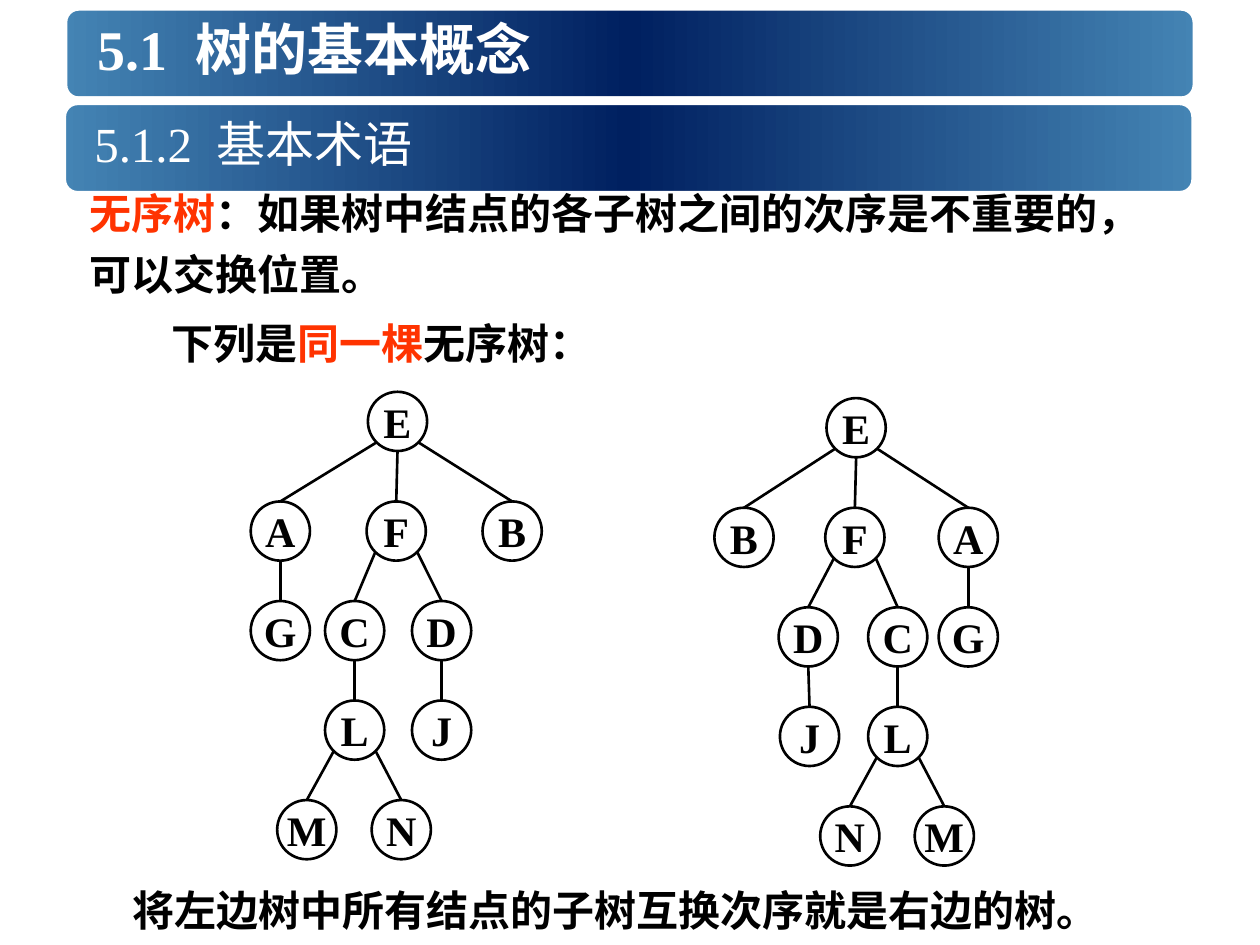
from copy import deepcopy
from dataclasses import dataclass

from pptx import Presentation
from pptx.dml.color import RGBColor
from pptx.enum.shapes import MSO_CONNECTOR, MSO_SHAPE
from pptx.enum.text import MSO_ANCHOR, MSO_AUTO_SIZE, PP_ALIGN
from pptx.oxml.ns import qn
from pptx.util import Inches, Pt
from lxml import etree

LINE = MSO_CONNECTOR.STRAIGHT
OVAL = MSO_SHAPE.OVAL
ROUND = MSO_SHAPE.ROUNDED_RECTANGLE
MIDDLE = MSO_ANCHOR.MIDDLE
FIXED = MSO_AUTO_SIZE.NONE
LEFT = PP_ALIGN.LEFT
CENTER = PP_ALIGN.CENTER

WHITE = RGBColor(0xFF, 0xFF, 0xFF)
BLACK = RGBColor(0x00, 0x00, 0x00)
RED = RGBColor(0xFF, 0x33, 0x00)
BLUE = RGBColor(0x44, 0x84, 0xB4)
NAVY = RGBColor(0x00, 0x20, 0x60)

SERIF = "Times New Roman"
SANS = "Noto Sans CJK SC"
SIZE = 0.47
DROP = 0.87
STEP = 0.79
DIAG = SIZE / 2 * 0.707


@dataclass
class Run:
    text: str
    color: RGBColor = BLACK
    size: int = 24
    font: str = SANS
    bold: bool = True
    space: int = 0


@dataclass
class Node:
    name: str
    left: float
    level: int
    parent: str = ""


@dataclass
class Tree:
    top: float
    nodes: list[Node]


@dataclass
class Note:
    left: float
    top: float
    width: float
    height: float
    lines: list[list[Run]]
    wrap: bool = False
    pitch: float = 1.0


TREES = [
    Tree(3.11, [
        Node("E", 2.92, 0),
        Node("A", 1.99, 1, "E"), Node("F", 2.91, 1, "E"), Node("B", 3.83, 1, "E"),
        Node("G", 1.99, 2, "A"), Node("C", 2.58, 2, "F"), Node("D", 3.27, 2, "F"),
        Node("L", 2.58, 3, "C"), Node("J", 3.27, 3, "D"),
        Node("M", 2.2, 4, "L"), Node("N", 2.95, 4, "L"),
    ]),
    Tree(3.16, [
        Node("E", 6.56, 0),
        Node("B", 5.67, 1, "E"), Node("F", 6.55, 1, "E"), Node("A", 7.45, 1, "E"),
        Node("D", 6.18, 2, "F"), Node("C", 6.89, 2, "F"), Node("G", 7.45, 2, "A"),
        Node("J", 6.19, 3, "D"), Node("L", 6.89, 3, "C"),
        Node("N", 6.51, 4, "L"), Node("M", 7.26, 4, "L"),
    ]),
]

NOTES = [
    Note(0.61, 1.36, 8.53, 1.06, [
        [Run("无序树", RED), Run("：如果树中结点的各子树之间的次序是不重要的，")],
        [Run("可以交换位置。")],
    ], pitch=1.2),
    Note(1.26, 2.47, 3.92, 0.5,
         [[Run("下列是"), Run("同一棵", RED), Run("无序树：")]], wrap=True),
    Note(0.95, 6.97, 7.86, 0.5,
         [[Run("将左边树中所有结点的子树互换次序就是右边的树。")]]),
]


def write(para, runs: list[Run]) -> None:
    for item in runs:
        run = para.add_run()
        run.text = item.text
        font = run.font
        font.name, font.size, font.bold = item.font, Pt(item.size), item.bold
        font.color.rgb = item.color
        props = run._r.get_or_add_rPr()
        etree.SubElement(props, qn("a:ea")).set("typeface", SANS)
        if item.space:
            props.set("spc", str(item.space))


def add_bar(slide, left: float, top: float) -> None:
    bar = slide.shapes.add_shape(ROUND, Inches(left), Inches(top), Inches(9), Inches(0.75))
    bar.shadow.inherit = False
    bar.adjustments[0] = 0.167
    bar.fill.gradient()
    stops = bar._element.spPr.find(".//" + qn("a:gsLst"))
    stops.append(deepcopy(stops[0]))
    for stop, place, color in zip(bar.fill.gradient_stops, (0, 0.5, 1), (BLUE, NAVY, BLUE)):
        stop.position = place
        stop.color.rgb = color
    bar.fill.gradient_angle = 0
    bar.line.color.rgb = WHITE
    bar.line.width = Pt(5)


def set_head(shape, number: str, words: str, size: int, bold: bool) -> None:
    frame = shape.text_frame
    frame.auto_size, frame.word_wrap = FIXED, True
    frame.vertical_anchor = MIDDLE
    para = frame.paragraphs[0]
    para.alignment = LEFT
    write(para, [Run(number, WHITE, size, SERIF, bold),
                 Run(" ", WHITE, size, SERIF, bold, size * 25),
                 Run(words, WHITE, size, SERIF, bold)])


def add_note(slide, note: Note) -> None:
    box = slide.shapes.add_textbox(
        Inches(note.left), Inches(note.top), Inches(note.width), Inches(note.height))
    frame = box.text_frame
    frame.word_wrap = note.wrap
    for index, runs in enumerate(note.lines):
        para = frame.add_paragraph() if index else frame.paragraphs[0]
        para.line_spacing = note.pitch
        write(para, runs)


def add_node(slide, node: Node, top: float):
    oval = slide.shapes.add_shape(OVAL, Inches(node.left), Inches(top), Inches(SIZE), Inches(SIZE))
    oval.shadow.inherit = False
    oval.fill.background()
    oval.line.color.rgb = BLACK
    oval.line.width = Pt(1.5)
    frame = oval.text_frame
    frame.word_wrap = False
    frame.vertical_anchor = MIDDLE
    para = frame.paragraphs[0]
    para.alignment = CENTER
    write(para, [Run(node.name, font=SERIF)])
    return oval


def add_edge(slide, start, end) -> None:
    shift = end.left - start.left
    side = 0 if abs(shift) < Inches(0.05) else (1 if shift > 0 else -1)
    drop = Inches(SIZE / 2 + DIAG) if side else start.height
    edge = slide.shapes.add_connector(
        LINE, start.left + start.width // 2 + side * Inches(DIAG), start.top + drop,
        end.left + end.width // 2, end.top)
    edge.end_connect(end, 0)
    edge.line.color.rgb = BLACK
    edge.line.width = Pt(1.5)
    etree.SubElement(edge._element.spPr, qn("a:effectLst"))


def add_tree(slide, tree: Tree) -> None:
    ovals = {}
    for node in tree.nodes:
        fall = DROP + STEP * (node.level - 1) if node.level else 0
        ovals[node.name] = add_node(slide, node, tree.top + fall)
        if node.parent:
            add_edge(slide, ovals[node.parent], ovals[node.name])


def main() -> None:
    deck = Presentation()
    deck.slide_width, deck.slide_height = Inches(10), Inches(7.5)
    slide = deck.slides.add_slide(deck.slide_layouts[5])
    add_bar(slide, 0.5, 0.05)
    title = slide.shapes.title
    title.left, title.top = Inches(0.67), Inches(0.05)
    title.width, title.height = Inches(8.75), Inches(0.67)
    slide.shapes._spTree.append(title._element)
    set_head(title, "5.1", "树的基本概念", 32, True)
    add_bar(slide, 0.49, 0.8)
    head = slide.shapes.add_textbox(Inches(0.65), Inches(0.8), Inches(8.75), Inches(0.67))
    set_head(head, "5.1.2", "基本术语", 28, False)
    for note in NOTES:
        add_note(slide, note)
    for tree in TREES:
        add_tree(slide, tree)
    deck.save("out.pptx")


if __name__ == "__main__":
    main()
